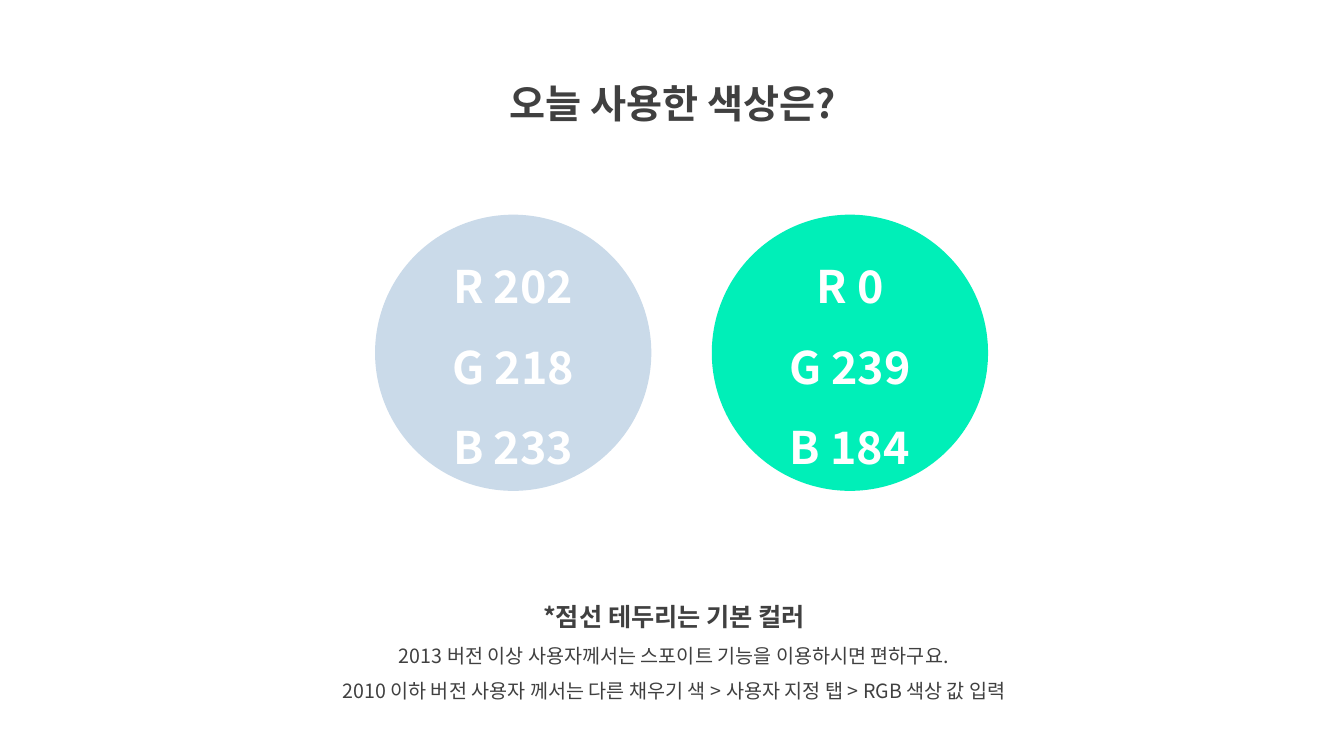
from lxml.etree import SubElement
from pptx import Presentation
from pptx.dml.color import RGBColor as RGB
from pptx.enum.shapes import MSO_SHAPE as Shape
from pptx.enum.text import MSO_ANCHOR as Anchor, MSO_AUTO_SIZE as AutoSize, PP_ALIGN as Align
from pptx.oxml.ns import qn
from pptx.util import Pt

PX = 9144  # 100 px to the inch
FONT = "Noto Sans CJK KR"
COLORS = {"ink": "404040", "white": "FFFFFF", "mint": "00EFB8", "mist": "CADAE9"}
STYLES = {
    "title": {"size": Pt(28), "bold": True},
    "heading": {"size": Pt(18), "bold": True},
    "body": {"size": Pt(14), "bold": False},
    "value": {"size": Pt(32), "bold": True},
}


def place(left, top, width, height):
    return [length * PX for length in (left, top, width, height)]


def write(frame, lines, color):
    frame.word_wrap = True
    for number, (text, style) in enumerate(lines):
        para = frame.add_paragraph() if number else frame.paragraphs[0]
        para.alignment = Align.CENTER
        para.line_spacing = 1.5
        span = para.add_run()
        span.text = text
        span.font.color.rgb = RGB.from_string(COLORS[color])
        span.font.name = FONT
        for name, value in STYLES[style].items():
            setattr(span.font, name, value)
        # Korean glyphs take the East Asian font
        SubElement(span.font._element, qn("a:ea"), typeface=FONT)


deck = Presentation()
deck.slide_width, deck.slide_height = 1333 * PX, 750 * PX
page = deck.slides.add_slide(deck.slide_layouts[6])

# Title and footnotes
text_blocks = [
    ((436, 50, 463, 72), [("오늘 사용한 색상은?", "title")]),
    ((269, 577, 799, 126), [
        ("*점선 테두리는 기본 컬러", "heading"),
        ("2013 버전 이상 사용자께서는 스포이트 기능을 이용하시면 편하구요.", "body"),
        ("2010 이하 버전 사용자 께서는 다른 채우기 색 > 사용자 지정 탭 > RGB 색상 값 입력", "body"),
    ]),
]
for bounds, lines in text_blocks:
    box = page.shapes.add_textbox(*place(*bounds))
    write(box.text_frame, lines, "ink")
    box.text_frame.auto_size = AutoSize.SHAPE_TO_FIT_TEXT

# Colour circles with their RGB values
swatches = [
    (706, "mint", ["R 0", "G 239", "B 184"]),
    (372, "mist", ["R 202", "G 218", "B 233"]),
]
for left, color, values in swatches:
    circle = page.shapes.add_shape(Shape.OVAL, *place(left, 213, 274, 274))
    circle.shadow.inherit = False
    circle.fill.solid()
    circle.fill.fore_color.rgb = RGB.from_string(COLORS[color])
    circle.line.fill.background()
    circle.text_frame.vertical_anchor = Anchor.MIDDLE
    write(circle.text_frame, [(value, "value") for value in values], "white")

deck.save("out.pptx")
